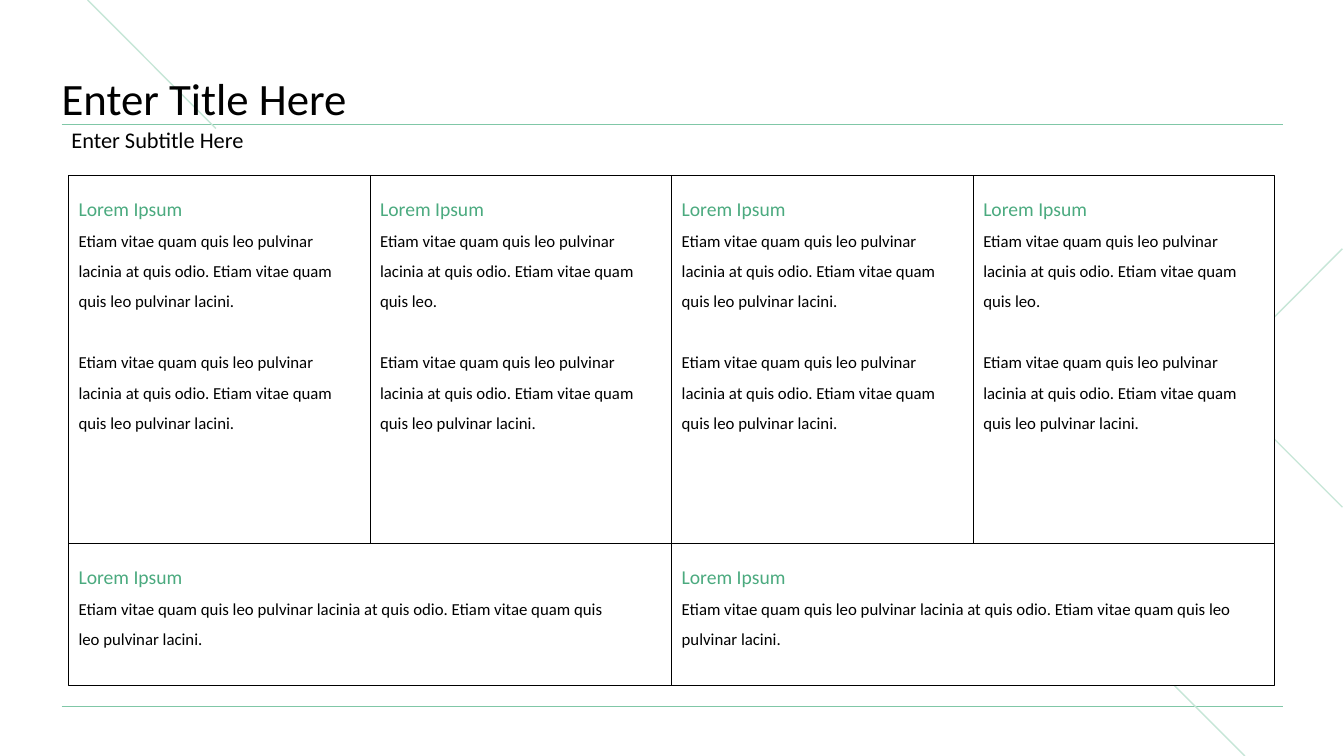
from lxml import etree
from pptx import Presentation
from pptx.dml.color import RGBColor
from pptx.enum.shapes import MSO_CONNECTOR, MSO_SHAPE
from pptx.enum.text import MSO_ANCHOR, PP_ALIGN
from pptx.oxml.ns import qn
from pptx.util import Cm, Pt

STRAIGHT = MSO_CONNECTOR.STRAIGHT
RECTANGLE = MSO_SHAPE.RECTANGLE
LEFT, TOP = PP_ALIGN.LEFT, MSO_ANCHOR.TOP
MIDDLE, BOTTOM = MSO_ANCHOR.MIDDLE, MSO_ANCHOR.BOTTOM

# Content
TITLE = "Enter Title Here"
SUBTITLE = "Enter Subtitle Here"
HEADING = "Lorem Ipsum"
SHORT = "Etiam vitae quam quis leo pulvinar lacinia at quis odio. Etiam vitae quam quis leo."
LONG = SHORT.replace("quis leo.", "quis leo pulvinar lacini.")
BROKEN = LONG.replace("quam quis leo pulvinar lacini.", "quam quis\vleo pulvinar lacini.")
UPPER_CARDS = [(LONG, LONG), (SHORT, LONG), (LONG, LONG), (SHORT, LONG)]
LOWER_CARDS = [(BROKEN,), (LONG,)]

# Look
FONT = "Calibri"
BLACK, WHITE, GREEN = "000000", "FFFFFF", "4BAA7F"
RULE_GREEN, PALE_GREEN = "80C7A7", "C6E6D7"

# Layout in centimetres
MARGIN, CONTENT_W = 1.55, 30.78
TITLE_TOP, TITLE_RULE, FOOT_RULE = 1.12, 3.13, 17.8
GRID_LEFT, GRID_TOP, GRID_W = 1.73, 4.42, 30.4
UPPER_H, LOWER_H = 9.28, 3.58
RULES = [(MARGIN, y, MARGIN + CONTENT_W, y) for y in (TITLE_RULE, FOOT_RULE)]
DIAGONALS = [(2.21, 0, 5.44, 3.24), (28.22, 15.9, 31.37, 19.05)]
CHEVRON = [(33.83, 6.27), (30.58, 9.53), (33.83, 12.78)]


def color(hex_code):
    return RGBColor.from_string(hex_code)


def style_line(line, hex_code, width):
    line.color.rgb = color(hex_code)
    line.width = Pt(width)


def style_text(paragraph, size, hex_code, spacing):
    paragraph.alignment = LEFT
    paragraph.line_spacing = spacing
    for run in paragraph.runs:
        run.font.name = FONT
        run.font.size = Pt(size)
        run.font.color.rgb = color(hex_code)


def set_insets(frame, horizontal, vertical):
    frame.margin_left = frame.margin_right = Cm(horizontal)
    frame.margin_top = frame.margin_bottom = Cm(vertical)


def add_line(ends, hex_code, width):
    line = slide.shapes.add_connector(STRAIGHT, *(Cm(v) for v in ends))
    style_line(line.line, hex_code, width)
    etree.SubElement(line.element.spPr, qn("a:effectLst"))


def fill_placeholder(holder, text, top, height, size, anchor):
    holder.left, holder.top = Cm(MARGIN), Cm(top)
    holder.width, holder.height = Cm(CONTENT_W), Cm(height)
    frame = holder.text_frame
    frame.text = text
    frame.word_wrap = True
    frame.vertical_anchor = anchor
    paragraph = frame.paragraphs[0]
    properties = paragraph._p.get_or_add_pPr()
    properties.set("marL", "0")
    properties.set("indent", "0")
    etree.SubElement(properties, qn("a:buNone"))
    paragraph.space_before = Pt(0)
    style_text(paragraph, size, BLACK, 0.9)
    # Text stands in front of the decoration
    holder.element.getparent().append(holder.element)
    return frame


def add_card_row(cards, top, height):
    width = GRID_W / len(cards)
    for column, texts in enumerate(cards):
        card = slide.shapes.add_shape(RECTANGLE, Cm(GRID_LEFT + column * width),
                                      Cm(top), Cm(width), Cm(height))
        card.shadow.inherit = False
        card.fill.solid()
        card.fill.fore_color.rgb = color(WHITE)
        style_line(card.line, BLACK, 0.75)
        frame = card.text_frame
        frame.word_wrap = True
        frame.vertical_anchor = TOP
        set_insets(frame, 0.25, 0.25)
        frame.text = HEADING
        style_text(frame.paragraphs[0], 14, GREEN, 1.5)
        for index, text in enumerate(texts):
            paragraph = frame.add_paragraph()
            paragraph.text = text
            paragraph.space_before = Pt(22 if index else 0)
            style_text(paragraph, 12, BLACK, 1.5)


prs = Presentation()
prs.slide_width, prs.slide_height = Cm(33.87), Cm(19.05)
slide = prs.slides.add_slide(prs.slide_layouts[1])

# Rules and diagonal decoration
for ends in RULES:
    add_line(ends, RULE_GREEN, 0.5)
for ends in DIAGONALS:
    add_line(ends, PALE_GREEN, 1)
points = [(Cm(x), Cm(y)) for x, y in CHEVRON]
builder = slide.shapes.build_freeform(*points[0])
builder.add_line_segments(points[1:], close=False)
chevron = builder.convert_to_shape()
chevron.shadow.inherit = False
chevron.fill.background()
style_line(chevron.line, PALE_GREEN, 1)

# Title and subtitle
title_frame = fill_placeholder(slide.shapes.title, TITLE, TITLE_TOP, 2.03, 32, BOTTOM)
set_insets(title_frame, 0, 0)
subtitle_frame = fill_placeholder(slide.placeholders[1], SUBTITLE, TITLE_RULE, 0.86, 16, MIDDLE)
set_insets(subtitle_frame, 0.25, 0.13)

# Cards
add_card_row(UPPER_CARDS, GRID_TOP, UPPER_H)
add_card_row(LOWER_CARDS, GRID_TOP + UPPER_H, LOWER_H)

prs.save("out.pptx")
